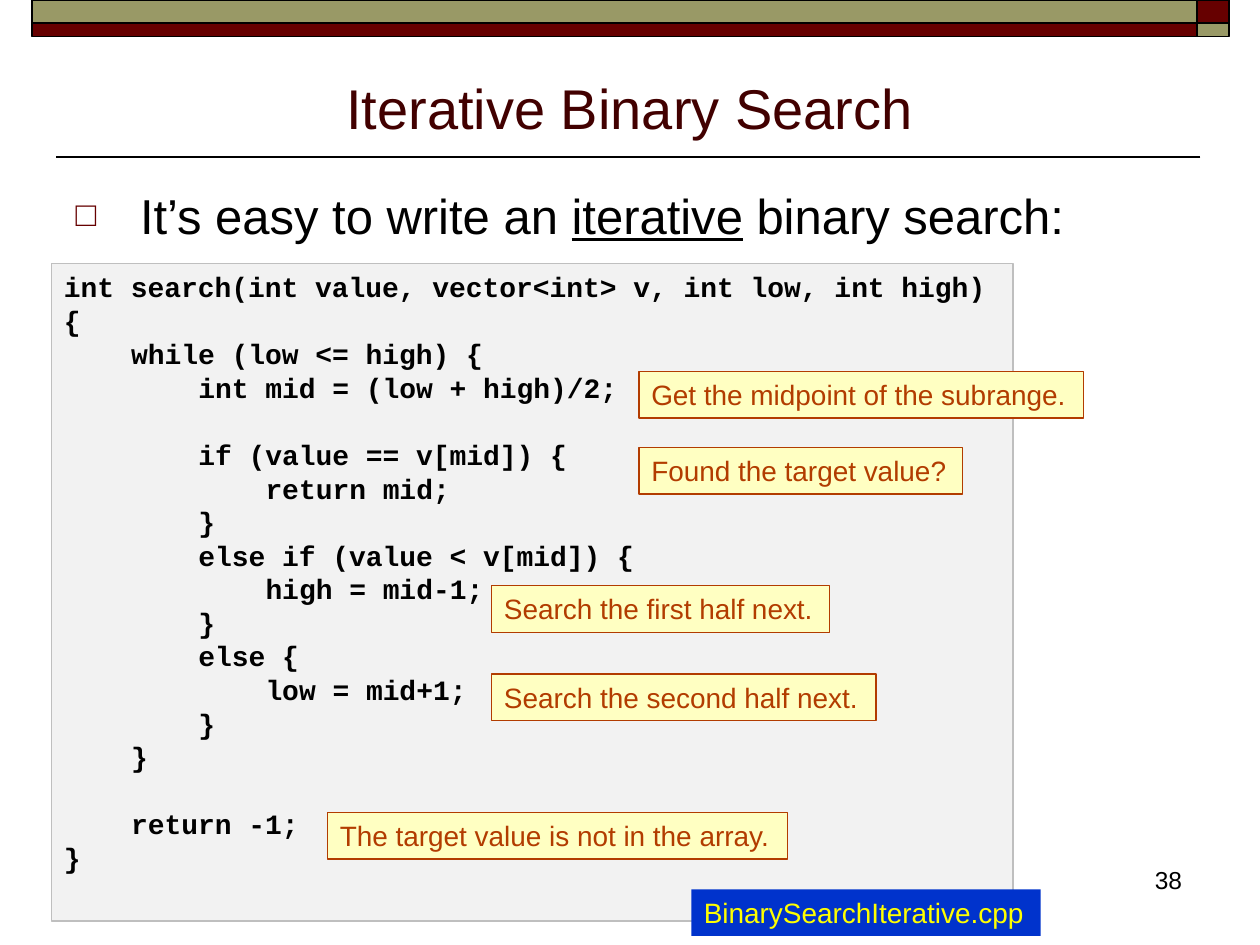
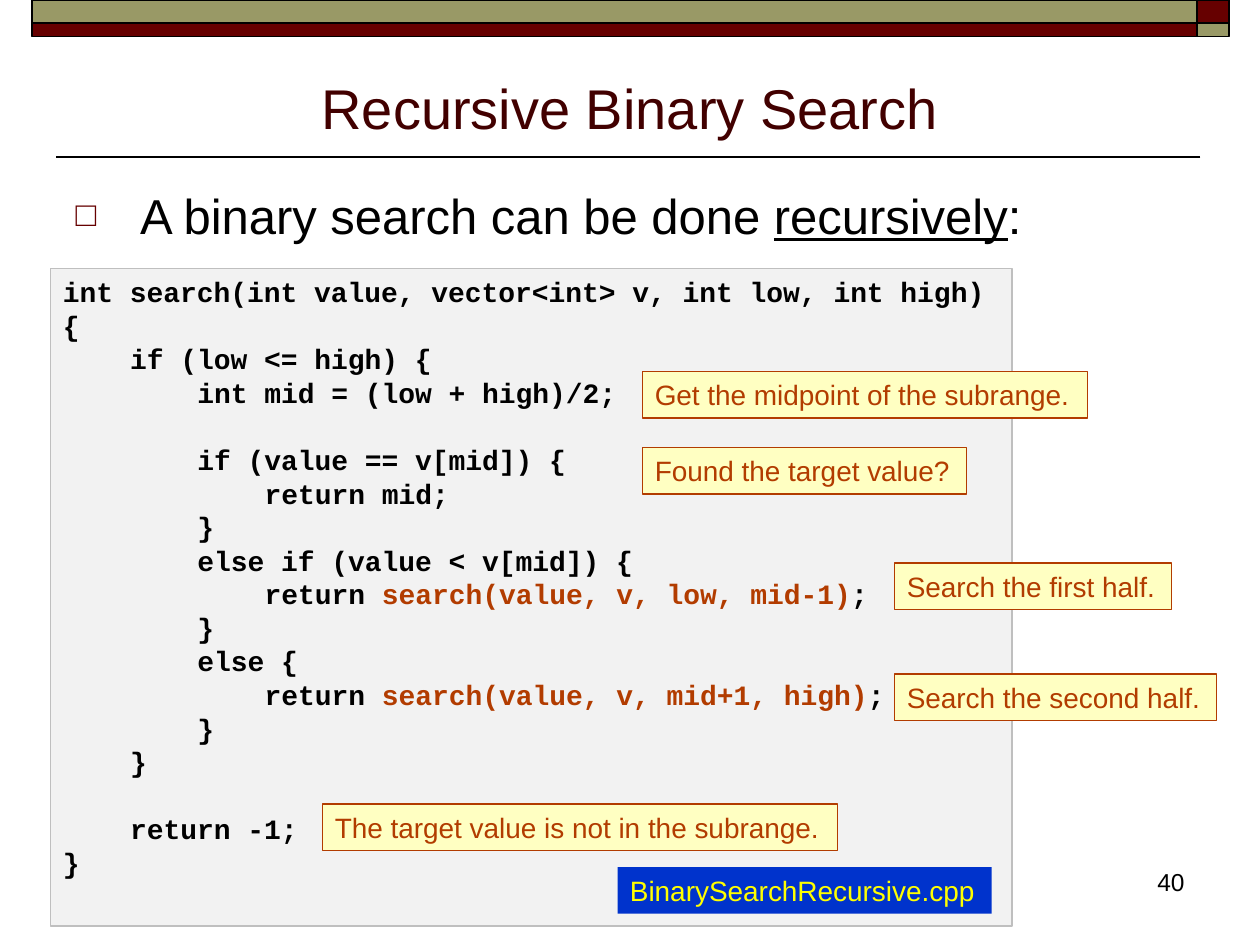
import lxml.etree
import pptx
import pptx.dml.color
import pptx.enum.shapes
import pptx.enum.text
import pptx.oxml.ns
import pptx.util

Cm = pptx.util.Cm
Pt = pptx.util.Pt
RGBColor = pptx.dml.color.RGBColor
qn = pptx.oxml.ns.qn
PP_ALIGN = pptx.enum.text.PP_ALIGN
MSO_ANCHOR = pptx.enum.text.MSO_ANCHOR

BLACK = RGBColor(0x00, 0x00, 0x00)
MAROON = RGBColor(0x66, 0x00, 0x00)
OLIVE = RGBColor(0x99, 0x99, 0x66)
TITLE_COLOR = RGBColor(0x42, 0x00, 0x00)
CODE_FILL = RGBColor(0xF2, 0xF2, 0xF2)
CODE_BORDER = RGBColor(0xBF, 0xBF, 0xBF)
NOTE_FILL = RGBColor(0xFF, 0xFF, 0xC2)
RUST = RGBColor(0xB2, 0x3C, 0x00)
FILE_FILL = RGBColor(0x00, 0x33, 0xCC)
YELLOW = RGBColor(0xFF, 0xFF, 0x00)

CODE_LINE = 19.2
CODE_CHAR = 9.6
LABEL_HEIGHT = 0.94

SEARCH_CODE = """int search(int value, vector<int> v, int low, int high)
{{
    {loop} (low <= high) {{
        int mid = (low + high)/2;

        if (value == v[mid]) {{
            return mid;
        }}
        else if (value < v[mid]) {{
            {first_half}
        }}
        else {{
            {second_half}
        }}
    }}

    return -1;
}}"""


def add_run(p, text, size=16, font="Arial", color=BLACK, bold=None, underline=None):
    """Append a formatted run to a paragraph."""
    r = p.add_run()
    r.text = text
    r.font.size = Pt(size)
    r.font.name = font
    r.font.color.rgb = color
    r.font.bold = bold
    r.font.underline = underline


def add_marked_runs(p, text, marked, **fmt):
    """Add runs, giving the parts between bars the extra marked format."""
    for i, part in enumerate(text.split("|")):
        if part:
            add_run(p, part, **(fmt | marked if i % 2 else fmt))


def place(sp, left, top, width, height):
    """Move and size a shape, in centimetres."""
    sp.left, sp.top, sp.width, sp.height = map(Cm, (left, top, width, height))


def add_box(s, at, fill, line=None, line_width=0.75):
    """Draw a flat rectangle and return it."""
    kind = pptx.enum.shapes.MSO_SHAPE.RECTANGLE
    sp = s.shapes.add_shape(kind, *map(Cm, at))
    sp.shadow.inherit = False
    sp.fill.solid()
    sp.fill.fore_color.rgb = fill
    if line is None:
        sp.line.fill.background()
    else:
        sp.line.color.rgb = line
        sp.line.width = Pt(line_width)
    return sp


def add_label(s, text, left, top, width, fill=NOTE_FILL, line=RUST, color=RUST):
    """Draw a one-line label box."""
    sp = add_box(s, (left, top, width, LABEL_HEIGHT), fill, line)
    tf = sp.text_frame
    tf.word_wrap = True
    tf.vertical_anchor = MSO_ANCHOR.TOP
    p = tf.paragraphs[0]
    p.alignment = PP_ALIGN.LEFT
    add_run(p, text, color=color)


def add_code(s, code, left, top):
    """Draw the listing, turning indents and gaps into paragraph format."""
    tf = add_box(s, (left, top, 19.38, 13.26), CODE_FILL, CODE_BORDER).text_frame
    tf.word_wrap = True
    tf.vertical_anchor = MSO_ANCHOR.TOP
    p, gap = tf.paragraphs[0], 0
    for line in code.splitlines():
        if not line:
            gap = CODE_LINE
            continue
        if p.runs:
            p = tf.add_paragraph()
        text = line.lstrip()
        depth = len(line) - len(text)
        p.alignment = PP_ALIGN.LEFT
        p.line_spacing = Pt(CODE_LINE)
        p.space_before = Pt(gap)
        pPr = p._p.get_or_add_pPr()
        pPr.set("marL", str(Pt(depth * CODE_CHAR)))
        pPr.set("indent", "0")
        add_marked_runs(p, text, {"color": RUST}, font="Courier New", bold=True)
        gap = 0


def add_frame(s):
    """Draw the top bands and the rule under the title."""
    for left, width, colors in ((0.64, 23.49, (OLIVE, MAROON)),
                                (24.13, 0.64, (MAROON, OLIVE))):
        for top, height, color in zip((0, 0.46), (0.46, 0.28), colors):
            add_box(s, (left, top, width, height), color, BLACK, 1)
    kind = pptx.enum.shapes.MSO_CONNECTOR.STRAIGHT
    rule = s.shapes.add_connector(kind, Cm(24.2), Cm(3.17), Cm(1.12), Cm(3.17))
    rule.line.color.rgb = BLACK
    rule.line.width = Pt(1)
    lxml.etree.SubElement(rule._element.spPr, qn("a:effectLst"))


def set_title(s, text):
    """Fill the title placeholder."""
    sp = s.shapes.title
    place(sp, 1.27, 1.14, 22.86, 1.83)
    tf = sp.text_frame
    tf.auto_size = pptx.enum.text.MSO_AUTO_SIZE.NONE
    tf.vertical_anchor = MSO_ANCHOR.BOTTOM
    p = tf.paragraphs[0]
    p.alignment = PP_ALIGN.CENTER
    add_run(p, text, size=32, color=TITLE_COLOR)


def set_bullet(p):
    """Give a paragraph a hanging maroon square bullet."""
    pPr = p._p.get_or_add_pPr()
    pPr.set("marL", str(Cm(1.3)))
    pPr.set("indent", str(-Cm(1.3)))
    color = lxml.etree.SubElement(pPr, qn("a:buClr"))
    lxml.etree.SubElement(color, qn("a:srgbClr"), val=str(MAROON))
    lxml.etree.SubElement(pPr, qn("a:buSzPct"), val="70000")
    lxml.etree.SubElement(pPr, qn("a:buFont"), typeface="Arial")
    lxml.etree.SubElement(pPr, qn("a:buChar"), char="□")


def set_body(s, text):
    """Fill the body placeholder with one bulleted line."""
    sp = s.placeholders[1]
    place(sp, 1.27, 3.61, 22.86, 1.6)
    tf = sp.text_frame
    tf.auto_size = pptx.enum.text.MSO_AUTO_SIZE.NONE
    p = tf.paragraphs[0]
    set_bullet(p)
    add_marked_runs(p, text, {"underline": True}, size=28)


def add_number(s, number, left, top):
    """Write the slide number at the lower right."""
    tf = s.shapes.add_textbox(Cm(left), Cm(top), Cm(5.28), Cm(1.27)).text_frame
    tf.word_wrap = True
    p = tf.paragraphs[0]
    p.alignment = PP_ALIGN.RIGHT
    add_run(p, number, size=14)


def add_search_slide(prs, title, body, number, code, notes, file_label):
    """Build one slide with a listing, its notes and its file name."""
    s = prs.slides.add_slide(prs.slide_layouts[1])
    add_frame(s)
    set_title(s, title)
    set_body(s, body)
    add_number(s, *number)
    add_code(s, *code)
    for note in notes:
        add_label(s, *note)
    add_label(s, *file_label, fill=FILE_FILL, line=None, color=YELLOW)


def main():
    """Build and save the presentation."""
    prs = pptx.Presentation()
    prs.slide_width, prs.slide_height = Cm(25.4), Cm(19.05)

    iterative = SEARCH_CODE.format(
        loop="while", first_half="high = mid-1;", second_half="low = mid+1;")
    add_search_slide(
        prs, "Iterative Binary Search",
        "It’s easy to write an |iterative| binary search:",
        ("38", 18.8, 17.32), (iterative, 1.04, 5.31),
        [("Get the midpoint of the subrange.", 12.88, 7.49, 8.97),
         ("Found the target value?", 12.88, 9.02, 6.53),
         ("Search the first half next.", 9.91, 11.81, 6.81),
         ("Search the second half next.", 9.91, 13.59, 7.75),
         ("The target value is not in the array.", 6.6, 16.38, 9.27)],
        ("BinarySearchIterative.cpp", 13.94, 17.93, 7.04))

    recursive = SEARCH_CODE.format(
        loop="if",
        first_half="return |search(value, v, low, mid-1)|;",
        second_half="return |search(value, v, mid+1, high)|;")
    add_search_slide(
        prs, "Recursive Binary Search",
        "A binary search can be done |recursively|:",
        ("40", 18.85, 17.35), (recursive, 1.02, 5.41),
        [("Get the midpoint of the subrange.", 12.95, 7.49, 8.97),
         ("Found the target value?", 12.95, 9.02, 6.53),
         ("Search the first half.", 18.03, 11.35, 5.59),
         ("Search the second half.", 18.03, 13.59, 6.5),
         ("The target value is not in the subrange.", 6.5, 16.21, 10.39)],
        ("BinarySearchRecursive.cpp", 12.45, 17.48, 7.54))

    prs.save("out.pptx")


if __name__ == "__main__":
    main()
